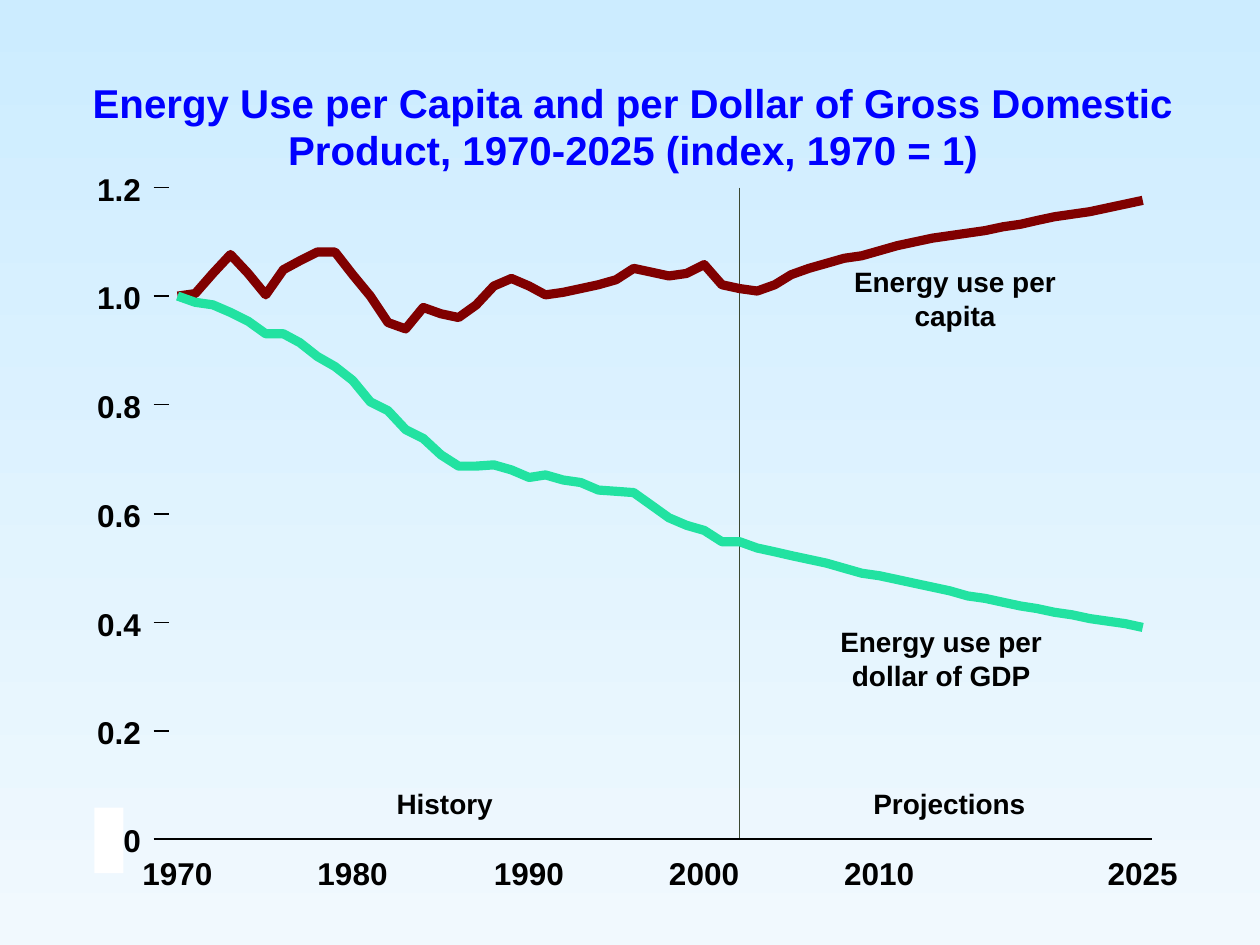
"""Builds the slide on energy use per capita and per dollar of GDP, 1970-2025."""
from itertools import chain

from lxml import etree
from pptx import Presentation
from pptx import util as u
from pptx.dml.color import RGBColor
from pptx.enum import shapes, text
from pptx.oxml import ns

PX = 9144
COLORS = {
    "sky": "CCECFF", "mist": "F1F9FE", "title": "0000FF", "ink": "000000",
    "divider": "3B4832", "capita": "800000", "gdp": "22E2A1", "white": "FFFFFF",
}
PLOT_LEFT, PLOT_RIGHT, PLOT_TOP, PLOT_BOTTOM = 141, 907, 149, 666
AXIS_LEFT, AXIS_RIGHT, TICK_LENGTH = 122, 914, 12
FIRST_YEAR, LAST_HISTORY_YEAR, LAST_YEAR = 1970, 2002, 2025
INDEX_MAX, INDEX_STEP = 120, 20
LABELLED_YEARS = (1970, 1980, 1990, 2000, 2010, 2025)
YEAR_LABEL_WIDTH, LABEL_HEIGHT = 56, 30

PERCENT_OF_1970 = {
    "capita": {
        1970: (100, 100.5, 104.2, 107.7, 104.2, 100.3, 104.9, 106.5, 108.2, 108.2),
        1980: (104, 100, 95.2, 94, 97.9, 96.8, 96.1, 98.4, 101.9, 103.3),
        1990: (101.9, 100.3, 100.7, 101.4, 102.1, 103.1, 105.1, 104.4, 103.8, 104.2),
        2000: (105.8, 102.1, 101.4, 101, 102.1, 104, 105.1, 106.1, 107, 107.5),
        2010: (108.4, 109.3, 110, 110.7, 111.2, 111.6, 112.1, 112.8, 113.3, 114),
        2020: (114.7, 115.1, 115.6, 116.3, 117, 117.7),
    },
    "gdp": {
        1970: (100, 98.9, 98.4, 97, 95.4, 93.1, 93.1, 91.5, 88.9, 87),
        1980: (84.5, 80.5, 78.9, 75.4, 73.8, 70.8, 68.7, 68.7, 68.9, 68),
        1990: (66.6, 67.1, 66.2, 65.7, 64.3, 64.1, 63.8, 61.5, 59.2, 57.8),
        2000: (56.9, 54.8, 54.8, 53.6, 52.9, 52.2, 51.5, 50.8, 49.9, 49),
        2010: (48.5, 47.8, 47.1, 46.4, 45.7, 44.8, 44.3, 43.6, 42.9, 42.5),
        2020: (41.8, 41.3, 40.6, 40.2, 39.7, 39),
    },
}


def rgb(name):
    """Return the named colour."""
    return RGBColor.from_string(COLORS[name])


def year_x(year):
    """Return the horizontal place of a year."""
    share = (year - FIRST_YEAR) / (LAST_YEAR - FIRST_YEAR)
    return round(PLOT_LEFT + share * (PLOT_RIGHT - PLOT_LEFT))


def index_y(percent):
    """Return the vertical place of an index value."""
    return round(PLOT_BOTTOM - percent / INDEX_MAX * (PLOT_BOTTOM - PLOT_TOP))


def emu(*lengths):
    """Turn px lengths into EMU."""
    return [length * PX for length in lengths]


def write(sp, lines, size=18, color="ink", align=text.PP_ALIGN.LEFT, wrap=False, spacing=None):
    """Fill a shape with formatted lines of text."""
    tf = sp.text_frame
    tf.margin_left = tf.margin_right = tf.margin_top = tf.margin_bottom = 0
    tf.word_wrap = wrap
    tf.auto_size = text.MSO_AUTO_SIZE.NONE
    tf.vertical_anchor = text.MSO_ANCHOR.TOP
    tf.text = lines
    for p in tf.paragraphs:
        p.alignment = align
        p.space_before = u.Pt(0)
        p.line_spacing = spacing
        p.font.name = "Arial"
        p.font.size = u.Pt(size)
        p.font.bold = True
        p.font.color.rgb = rgb(color)


class Canvas:
    """Holds the style and the current slide."""

    def __init__(self, prs):
        """Add a title-only slide with a gradient background."""
        self.s = prs.slides.add_slide(prs.slide_layouts[5])
        fill = self.s.background.fill
        fill.gradient()
        fill.gradient_angle = 270
        for stop, name in zip(fill.gradient_stops, ("sky", "mist")):
            stop.color.rgb = rgb(name)

    def title(self, lines, x, y, w, h):
        """Place and format the title placeholder."""
        sp = self.s.shapes.title
        sp.left, sp.top, sp.width, sp.height = emu(x, y, w, h)
        write(sp, lines, size=23, color="title", align=text.PP_ALIGN.CENTER,
              wrap=True, spacing=u.Pt(27))

    def label(self, lines, x, y, w, h, **style):
        """Add a text box."""
        write(self.s.shapes.add_textbox(*emu(x, y, w, h)), lines, **style)

    def line(self, x1, y1, x2, y2, color="ink"):
        """Add a thin straight line."""
        sp = self.s.shapes.add_connector(shapes.MSO_CONNECTOR.STRAIGHT, *emu(x1, y1, x2, y2))
        sp.line.color.rgb = rgb(color)
        sp.line.width = u.Pt(0.88)
        etree.SubElement(sp._element.spPr, ns.qn("a:effectLst"))

    def curve(self, decades, color):
        """Add a thick open line through the yearly index values."""
        values = chain.from_iterable(decades.values())
        points = [(year_x(year), index_y(v)) for year, v in enumerate(values, FIRST_YEAR)]
        builder = self.s.shapes.build_freeform(*points[0], scale=PX)
        builder.add_line_segments(points[1:], close=False)
        sp = builder.convert_to_shape()
        sp.shadow.inherit = False
        sp.fill.background()
        sp.line.color.rgb = rgb(color)
        sp.line.width = u.Pt(5.25)

    def block(self, x, y, w, h, color):
        """Add a plain filled rectangle."""
        sp = self.s.shapes.add_shape(shapes.MSO_SHAPE.RECTANGLE, *emu(x, y, w, h))
        sp.shadow.inherit = False
        sp.fill.solid()
        sp.fill.fore_color.rgb = rgb(color)
        sp.line.fill.background()

    def index_axis(self):
        """Draw a tick and a label for every step of the index."""
        for percent in range(0, INDEX_MAX + 1, INDEX_STEP):
            y = index_y(percent)
            self.line(AXIS_LEFT, y, AXIS_LEFT + TICK_LENGTH, y)
            self.label(f"{percent / 100:.1f}", 77, y - 14, 35, LABEL_HEIGHT)

    def year_axis(self):
        """Draw the base line and centre a label under each labelled year."""
        self.line(AXIS_LEFT + TICK_LENGTH, PLOT_BOTTOM, AXIS_RIGHT, PLOT_BOTTOM)
        for year in LABELLED_YEARS:
            self.label(str(year), year_x(year) - YEAR_LABEL_WIDTH // 2, PLOT_BOTTOM + 12,
                       YEAR_LABEL_WIDTH, LABEL_HEIGHT)


def main():
    """Build and save the slide."""
    prs = Presentation()
    prs.slide_width, prs.slide_height = emu(1000, 750)
    c = Canvas(prs)
    c.title("Energy Use per Capita and per Dollar of Gross Domestic\n"
            "Product, 1970-2025 (index, 1970 = 1)", 60, 63, 886, 75)

    divider_x = year_x(LAST_HISTORY_YEAR)
    c.line(divider_x, PLOT_TOP, divider_x, PLOT_BOTTOM, "divider")
    for name, decades in PERCENT_OF_1970.items():
        c.curve(decades, name)

    c.index_axis()
    c.year_axis()
    c.block(75, 641, 23, 52, "white")

    for caption, x, y, w, h in (
        ("History", 315, 624, 76, 27),
        ("Projections", 693, 624, 121, 27),
        ("Energy use per\ncapita", 678, 210, 160, 53),
        ("Energy use per\ndollar of GDP", 667, 496, 160, 53),
    ):
        c.label(caption, x, y, w, h, size=16, align=text.PP_ALIGN.CENTER)

    prs.save("out.pptx")


if __name__ == "__main__":
    main()
